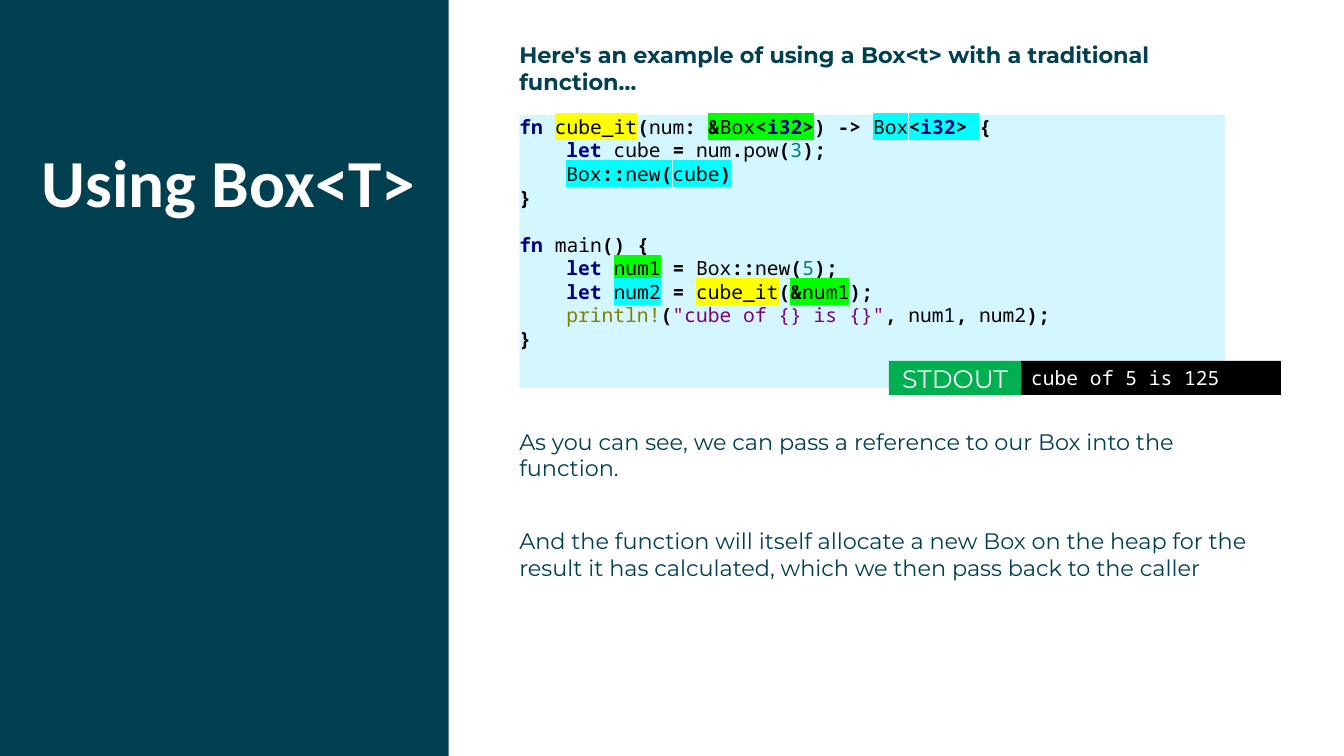
from lxml import etree
from pptx import Presentation
from pptx.dml.color import RGBColor
from pptx.enum import shapes, text
from pptx.oxml import ns
from pptx.util import Pt

TEAL = RGBColor(0x00, 0x40, 0x50)
WHITE = RGBColor(0xFF, 0xFF, 0xFF)
BLACK = RGBColor(0x00, 0x00, 0x00)
PALE_BLUE = RGBColor(0xD4, 0xF6, 0xFF)
STDOUT_GREEN = RGBColor(0x00, 0xB0, 0x50)
NAVY = RGBColor(0x00, 0x00, 0x7F)
DARK_CYAN = RGBColor(0x00, 0x7F, 0x7F)
OLIVE = RGBColor(0x7F, 0x7F, 0x00)
PURPLE = RGBColor(0x7F, 0x00, 0x7F)
YELLOW = RGBColor(0xFF, 0xFF, 0x00)
GREEN = RGBColor(0x00, 0xFF, 0x00)
CYAN = RGBColor(0x00, 0xFF, 0xFF)

MONO = "Noto Sans Mono"
SANS = "Montserrat"
CODE_LINE = 16.8
CODE_INDENT = 33.6

KEYWORD = (NAVY, True)
NAME = (BLACK, False)
MARK = (BLACK, True)
NUMBER = (DARK_CYAN, False)
MACRO = (OLIVE, False)
STRING = (PURPLE, False)

CUBE_IT = [
    (0, [("fn ", KEYWORD), ("cube_it", NAME, YELLOW), ("(", MARK), ("num", NAME),
         (": ", MARK), ("&", MARK, GREEN), ("Box", NAME, GREEN), ("<", MARK, GREEN),
         ("i32", KEYWORD, GREEN), (">", MARK, GREEN), (") -> ", MARK),
         ("Box", NAME, CYAN), ("<", MARK, CYAN), ("i32", KEYWORD, CYAN),
         (">", MARK, CYAN), (" ", NAME, CYAN), ("{", MARK)]),
    (1, [("let ", KEYWORD), ("cube ", NAME), ("= ", MARK), ("num", NAME), (".", MARK),
         ("pow", NAME), ("(", MARK), ("3", NUMBER), (");", MARK)]),
    (1, [("Box", NAME, CYAN), ("::", MARK, CYAN), ("new", NAME, CYAN),
         ("(", MARK, CYAN), ("cube", NAME, CYAN), (")", MARK, CYAN)]),
    (0, [("}", MARK)]),
]
MAIN = [
    (0, [("fn ", KEYWORD), ("main", NAME), ("() {", MARK)]),
    (1, [("let ", KEYWORD), ("num1", NAME, GREEN), (" ", NAME), ("= ", MARK),
         ("Box", NAME), ("::", MARK), ("new", NAME), ("(", MARK), ("5", NUMBER),
         (");", MARK)]),
    (1, [("let ", KEYWORD), ("num2", NAME, CYAN), (" ", NAME), ("= ", MARK),
         ("cube_it", NAME, YELLOW), ("(", MARK), ("&", MARK, GREEN),
         ("num1", NAME, GREEN), (");", MARK)]),
    (1, [("println!", MACRO), ("(", MARK), ('"cube of {} is {}"', STRING), (", ", MARK),
         ("num1", NAME), (", ", MARK), ("num2", NAME), (");", MARK)]),
    (0, [("}", MARK)]),
]


def apply(target, formats):
    for attribute, value in formats.items():
        setattr(target, attribute, value)


def write(paragraph, words, color, highlight=None, **formats):
    run = paragraph.add_run()
    run.text = words
    run.font.color.rgb = color
    if highlight is not None:
        marker = etree.Element(ns.qn("a:highlight"))
        etree.SubElement(marker, ns.qn("a:srgbClr"), val=str(highlight))
        run.font.fill._xPr.find(ns.qn("a:solidFill")).addnext(marker)
    apply(run.font, formats)


def set_frame(shape, inset=True, anchor=text.MSO_ANCHOR.TOP):
    frame = shape.text_frame
    apply(frame, {"word_wrap": True, "vertical_anchor": anchor})
    if not inset:
        sides = ("left", "top", "right", "bottom")
        apply(frame, {f"margin_{side}": 0 for side in sides})
    return frame


def add_panel(slide, box, fill):
    panel = slide.shapes.add_shape(shapes.MSO_SHAPE.RECTANGLE, *map(Pt, box))
    panel.shadow.inherit = False
    panel.fill.solid()
    panel.fill.fore_color.rgb = fill
    panel.line.fill.background()
    return panel


def add_sidebar(slide, left, top, width, height):
    add_panel(slide, (left, top, width, height), TEAL)
    title_box = (left + 30, top + 106.5, width - 49, 217)
    title = set_frame(slide.shapes.add_textbox(*map(Pt, title_box)), inset=False)
    heading = title.paragraphs[0]
    heading.line_spacing = 0.9
    write(heading, "Using Box<T>", WHITE, name="Calibri", size=Pt(48), bold=True)


def add_prose(slide, box, passages, bold=False):
    prose = set_frame(slide.shapes.add_textbox(*map(Pt, box)), inset=False)
    for index, passage in enumerate(passages):
        paragraph = prose.add_paragraph() if index else prose.paragraphs[0]
        paragraph.space_before = Pt(32.5 if index else 0)
        write(paragraph, passage, TEAL, name=SANS, size=Pt(16), bold=bold)


def add_code(slide, left, top, width, height):
    listing = set_frame(add_panel(slide, (left, top, width, height), PALE_BLUE), inset=False)
    for index, (level, tokens) in enumerate(CUBE_IT + MAIN):
        line = listing.add_paragraph() if index else listing.paragraphs[0]
        line.alignment = text.PP_ALIGN.LEFT
        line.space_before = Pt(CODE_LINE if index == len(CUBE_IT) else 0)
        properties = line._p.get_or_add_pPr()
        properties.set("marL", str(int(Pt(CODE_INDENT * level))))
        properties.set("indent", "0")
        for words, (color, bold), *highlight in tokens:
            write(line, words, color, *highlight, name=MONO, size=Pt(14), bold=bold)


def add_stdout(slide, left, top, width, height):
    label_width = 94.5
    parts = [
        (left + label_width, width - label_width, BLACK, "cube of 5 is 125",
         text.PP_ALIGN.LEFT, {"name": MONO, "size": Pt(14)}),
        (left, label_width, STDOUT_GREEN, "STDOUT",
         text.PP_ALIGN.CENTER, {"name": SANS, "size": Pt(18)}),
    ]
    for part_left, part_width, fill, words, alignment, formats in parts:
        panel = add_panel(slide, (part_left, top, part_width, height), fill)
        paragraph = set_frame(panel, anchor=text.MSO_ANCHOR.MIDDLE).paragraphs[0]
        paragraph.alignment = alignment
        write(paragraph, words, WHITE, **formats)


def add_example(slide, left, top, width):
    add_prose(slide, (left, top, width, 45),
              ["Here's an example of using a Box<t> with a traditional function…"], bold=True)
    add_code(slide, left, top + 52.5, width - 20, 195)
    add_stdout(slide, left + 264, top + 228.3, 280, 24.3)
    add_prose(slide, (left, top + 276, width, 112), [
        "As you can see, we can pass a reference to our Box into the function.",
        "And the function will itself allocate a new Box on the heap for the result "
        "it has calculated, which we then pass back to the caller",
    ])


def main():
    deck = Presentation()
    apply(deck, {"slide_width": Pt(960), "slide_height": Pt(540)})
    slide = deck.slides.add_slide(deck.slide_layouts[6])
    add_sidebar(slide, 0, 0, 320.4, 540)
    add_example(slide, 371, 29.5, 524)
    deck.save("out.pptx")


if __name__ == "__main__":
    main()
